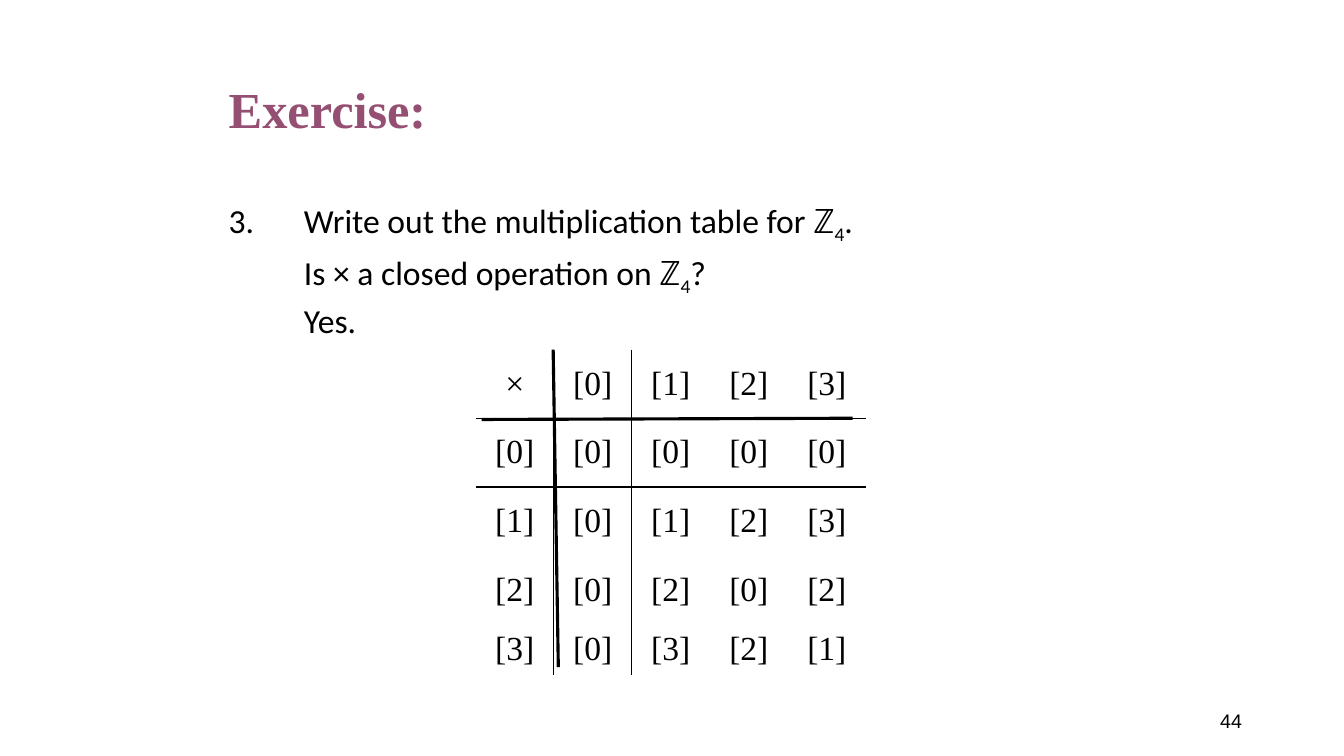
"""Build the exercise slide with the multiplication table for the integers modulo 4."""
from dataclasses import dataclass

from lxml.etree import SubElement
from pptx import Presentation
from pptx.dml.color import RGBColor
from pptx.enum.shapes import MSO_CONNECTOR
from pptx.enum.text import MSO_ANCHOR, MSO_AUTO_SIZE, PP_ALIGN
from pptx.oxml import parse_xml
from pptx.oxml.ns import nsdecls, qn
from pptx.util import Cm, Pt


@dataclass(frozen=True)
class Theme:
    ink: str = "000000"
    accent: str = "954F72"
    serif: str = "Times New Roman"
    sans: str = "Calibri"
    symbol: str = "Noto Sans CJK JP"
    number: str = "Arial"
    title_size: int = 36
    body_size: int = 24
    number_size: int = 14


theme = Theme()


def add_span(para, text, font=theme.sans, size=theme.body_size, color=theme.ink, bold=False, baseline=0):
    span = para.add_run()
    span.text = text
    span.font.name = font
    span.font.size = Pt(size)
    span.font.bold = bold
    span.font.color.rgb = RGBColor.from_string(color)
    properties = span.font._element
    SubElement(properties, qn("a:ea")).set("typeface", font)
    if baseline:
        properties.set("baseline", str(baseline))


def add_border(cell, edge):
    line = parse_xml(
        f'<a:{edge} {nsdecls("a")} w="12700"><a:solidFill><a:srgbClr val="{theme.ink}"/>'
        f'</a:solidFill><a:prstDash val="solid"/></a:{edge}>')
    properties = cell._tc.get_or_add_tcPr()
    properties.insert(len(properties.findall("a:*", {"a": line.nsmap["a"]})) - 1, line)


deck = Presentation()
deck.slide_width, deck.slide_height = Cm(33.87), Cm(19.05)
page = deck.slides.add_slide(deck.slide_layouts[5])

title = page.shapes.title
title.left, title.top, title.width, title.height = Cm(5.51), Cm(1.24), Cm(22.86), Cm(3.18)
title.text_frame.auto_size = MSO_AUTO_SIZE.NONE
title.text_frame.vertical_anchor = MSO_ANCHOR.MIDDLE
heading = title.text_frame.paragraphs[0]
heading.alignment = PP_ALIGN.LEFT
heading.line_spacing = 0.9
add_span(heading, "Exercise:", font=theme.serif, size=theme.title_size, color=theme.accent, bold=True)

number_box = page.shapes.add_textbox(Cm(23.93), Cm(17.65), Cm(7.62), Cm(1.02))
number_box.text_frame.word_wrap = True
number_box.text_frame.vertical_anchor = MSO_ANCHOR.MIDDLE
number_para = number_box.text_frame.paragraphs[0]
number_para.alignment = PP_ALIGN.RIGHT
add_span(number_para, "44", font=theme.number, size=theme.number_size)

body = page.shapes.add_textbox(Cm(5.51), Cm(4.93), Cm(22.86), Cm(12.57))
body.text_frame.word_wrap = True
questions = [
    ("3.\tWrite out the multiplication table for ", "."),
    ("Is × a closed operation on ", "?"),
    ("Yes.", ""),
]
for index, (opening, ending) in enumerate(questions):
    para = body.text_frame.paragraphs[0] if index == 0 else body.text_frame.add_paragraph()
    para.line_spacing = 0.9
    para.space_before = Pt(7.5)
    indent = para._p.get_or_add_pPr()
    indent.set("marL", str(Cm(1.9)))
    indent.set("indent", str(Cm(-1.9) if index == 0 else 0))
    add_span(para, opening)
    if ending:
        add_span(para, "ℤ", font=theme.symbol)
        add_span(para, "4", baseline=-25000)
        add_span(para, ending)

modulus = 4
count = modulus + 1
frame = page.shapes.add_table(count, count, Cm(11.99), Cm(8.81), Cm(9.83), Cm(8.2))
table = frame.table
table.first_row = table.horz_banding = False
table._tbl.tblPr.find(qn("a:tableStyleId")).text = "{2D5ABB26-0587-4C30-8999-92F81FD0307C}"
for column in table.columns:
    column.width = Cm(9.83 / count)
for index, row in enumerate(table.rows):
    row.height = Cm(1.27 if index == modulus else 1.73)

for row in range(count):
    for column in range(count):
        if row and column:
            text = f"[{(row - 1) * (column - 1) % modulus}]"
        elif row or column:
            text = f"[{row + column - 1}]"
        else:
            text = "×"
        cell = table.cell(row, column)
        cell.vertical_anchor = MSO_ANCHOR.MIDDLE
        cell.fill.background()
        para = cell.text_frame.paragraphs[0]
        para.alignment = PP_ALIGN.CENTER
        add_span(para, text, font=theme.serif)
        edges = {"lnL": column == 1, "lnR": column == 0, "lnT": row == 1, "lnB": row == 0}
        for edge, drawn in edges.items():
            if drawn:
                add_border(cell, edge)

rules = page.shapes.add_group_shape()
for start_x, start_y, end_x, end_y in [(12.14, 10.57, 21.49, 10.54), (13.94, 8.81, 14.07, 16.81)]:
    rule = rules.shapes.add_connector(MSO_CONNECTOR.STRAIGHT, Cm(start_x), Cm(start_y), Cm(end_x), Cm(end_y))
    rule.line.color.rgb = RGBColor.from_string(theme.ink)
    rule.line.width = Pt(2.25)
    SubElement(rule._element.spPr, qn("a:effectLst"))

deck.save("out.pptx")
